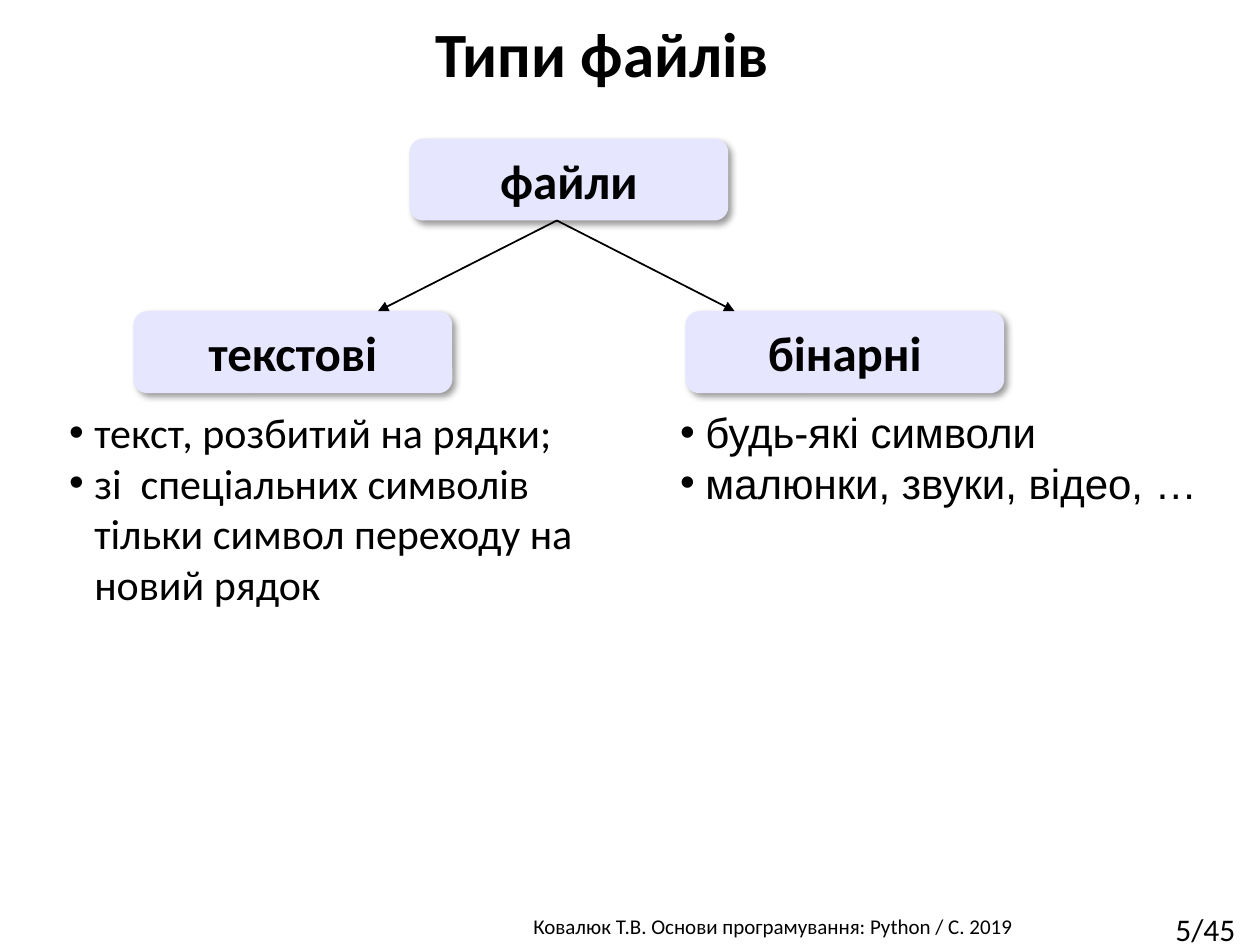
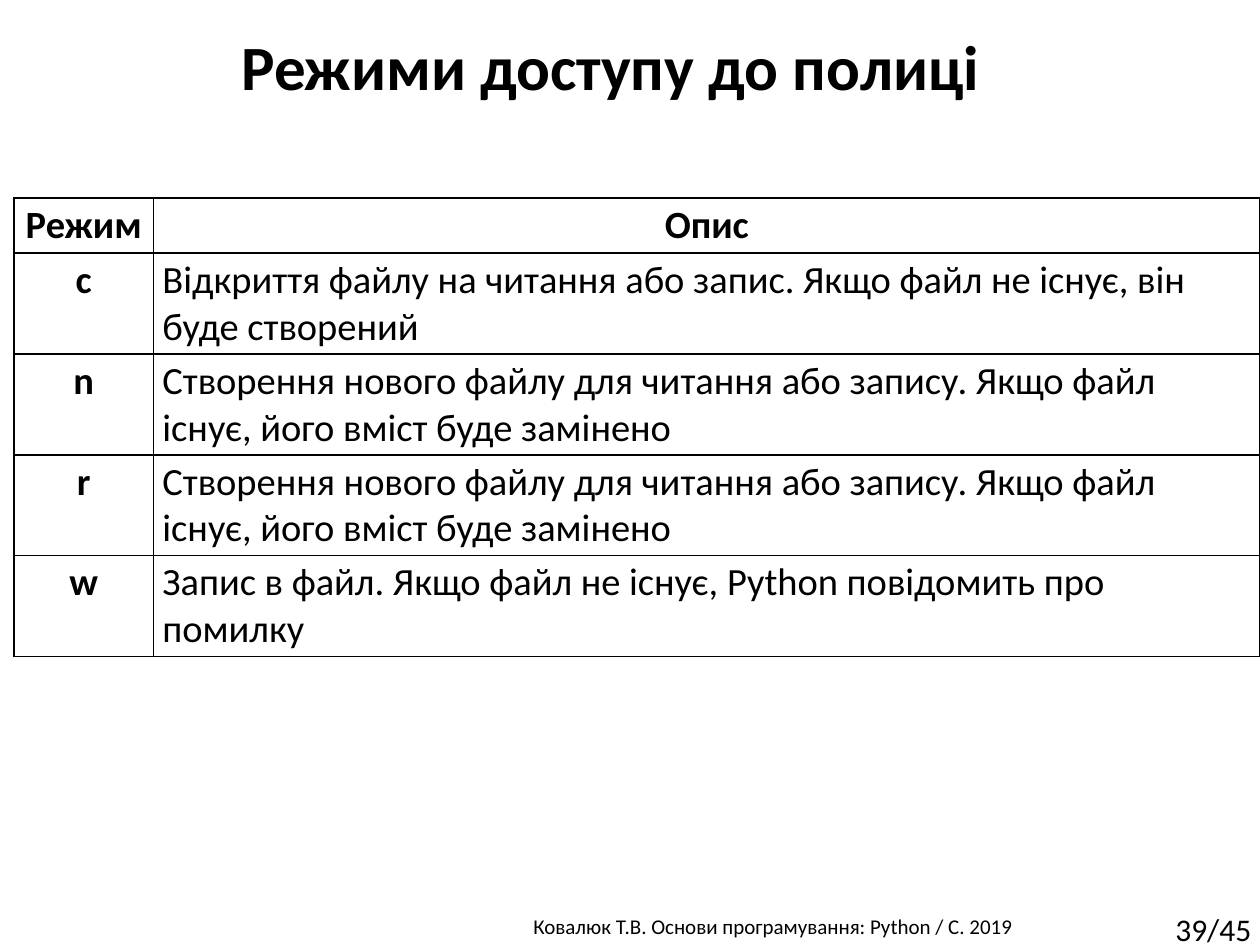
from lxml import etree
from pptx import Presentation
from pptx.dml.color import RGBColor
from pptx.enum.shapes import MSO_CONNECTOR, MSO_SHAPE
from pptx.enum.text import MSO_ANCHOR as ANCHOR, PP_ALIGN as ALIGN
from pptx.oxml import parse_xml
from pptx.oxml.ns import nsdecls, qn
from pptx.util import Inches, Pt

COLORS = {"text": "000000", "line": "000000", "box": "E6E6FF", "paper": "FFFFFF"}
FOOTER = "Ковалюк Т.В. Основи програмування: Python / C. 2019"
PAGE_COUNT = 45
BULLET_INDENT = Inches(0.2)


def write(frame, lines, size, bold=False, align=ALIGN.LEFT, anchor=ANCHOR.TOP, font="Calibri"):
    """Fill a text frame with one single-run paragraph per line."""
    frame.word_wrap = True
    frame.vertical_anchor = anchor
    for index, line in enumerate(lines):
        paragraph = frame.add_paragraph() if index else frame.paragraphs[0]
        paragraph.alignment = align
        run = paragraph.add_run()
        run.text = line
        run.font.name = font
        run.font.size = Pt(size)
        run.font.bold = bold
        run.font.color.rgb = RGBColor.from_string(COLORS["text"])


def add_framed_slide(title, title_place, page):
    """Add a blank slide with the shared footer, page number and title."""
    slide = presentation.slides.add_slide(presentation.slide_layouts[6])
    for text, place, size, style in (
        (FOOTER, (3.29, 7.2, 5.69, 0.3), 12, {"align": ALIGN.CENTER}),
        (f"{page}/{PAGE_COUNT}", (9.23, 7.17, 0.85, 0.4), 18, {}),
        (title, title_place, 36,
         {"bold": True, "align": ALIGN.CENTER, "anchor": ANCHOR.MIDDLE}),
    ):
        box = slide.shapes.add_textbox(*map(Inches, place))
        write(box.text_frame, [text], size, **style)
    return slide


presentation = Presentation()
presentation.slide_width = Inches(10)
presentation.slide_height = Inches(7.5)

# Slide 1: file types
slide = add_framed_slide("Типи файлів", (0.2, 0.19, 9.16, 0.52), 5)
slide.shapes[-1].text_frame.paragraphs[0].line_spacing = 0.9

for label, left, top in (("файли", 3.25, 1.1), ("текстові", 1.06, 2.47), ("бінарні", 5.44, 2.47)):
    shape = slide.shapes.add_shape(
        MSO_SHAPE.ROUNDED_RECTANGLE, Inches(left), Inches(top), Inches(2.53), Inches(0.65))
    shape.fill.solid()
    shape.fill.fore_color.rgb = RGBColor.from_string(COLORS["box"])
    shape.line.fill.background()
    shape._element.spPr.append(parse_xml(
        f'<a:effectLst {nsdecls("a")}>'
        f'<a:outerShdw blurRad="{Pt(4)}" dist="{Pt(3)}" dir="2700000" algn="tl" rotWithShape="0">'
        f'<a:srgbClr val="{COLORS["line"]}"><a:alpha val="40000"/></a:srgbClr>'
        '</a:outerShdw></a:effectLst>'))
    write(shape.text_frame, [label], 28, bold=True, align=ALIGN.CENTER, anchor=ANCHOR.MIDDLE)

for left, font, features in (
    (0.45, "Calibri", ["текст, розбитий на рядки;",
                       "зі  спеціальних символів тільки символ переходу на новий рядок"]),
    (5.3, "Arial", ["будь-які символи", "малюнки, звуки, відео, …"]),
):
    shape = slide.shapes.add_shape(
        MSO_SHAPE.FLOWCHART_PROCESS, Inches(left), Inches(3.18), Inches(4.59), Inches(2.21))
    shape.shadow.inherit = False
    shape.fill.background()
    shape.line.fill.background()
    write(shape.text_frame, features, 24, font=font)
    for paragraph in shape.text_frame.paragraphs:
        properties = paragraph._p.get_or_add_pPr()
        properties.set("marL", str(BULLET_INDENT))
        properties.set("indent", str(-BULLET_INDENT))
        etree.SubElement(properties, qn("a:buFont"), typeface="Arial")
        etree.SubElement(properties, qn("a:buChar"), char="•")

for end_x in (3, 5.83):
    arrow = slide.shapes.add_connector(
        MSO_CONNECTOR.STRAIGHT, Inches(4.42), Inches(1.75), Inches(end_x), Inches(2.47))
    arrow.line.color.rgb = RGBColor.from_string(COLORS["line"])
    arrow.line.width = Pt(1)
    etree.SubElement(arrow.line._get_or_add_ln(), qn("a:tailEnd"), type="triangle")
    etree.SubElement(arrow._element.spPr, qn("a:effectLst"))

# Slide 2: shelf access modes
slide = add_framed_slide("Режими доступу до полиці", (1.79, 0.16, 6.11, 0.71), 39)

REPLACES_FILE = ("Створення нового файлу для читання або запису. "
                 "Якщо файл існує, його вміст буде замінено")
modes = [
    ("Режим", "Опис"),
    ("c", "Відкриття файлу на читання або запис. Якщо файл не існує, він буде створений"),
    ("n", REPLACES_FILE),
    ("r", REPLACES_FILE),
    ("w", "Запис в файл. Якщо файл не існує, Python повідомить про помилку"),
]
table = slide.shapes.add_table(
    len(modes), 2, Inches(0.11), Inches(1.57), Inches(9.89), Inches(3.64)).table
for column, width in zip(table.columns, (1.11, 8.78)):
    column.width = Inches(width)

for row_index, mode in enumerate(modes):
    table.rows[row_index].height = Inches(0.8 if row_index else 0.44)
    for column_index, text in enumerate(mode):
        cell = table.cell(row_index, column_index)
        cell.margin_left = cell.margin_right = Inches(0.07)
        cell.margin_top = cell.margin_bottom = Inches(0.03)
        is_heading = row_index == 0 or column_index == 0
        write(cell.text_frame, [text], 22, bold=is_heading,
              align=ALIGN.CENTER if is_heading else ALIGN.LEFT)
        properties = cell._tc.get_or_add_tcPr()
        for side in ("lnL", "lnR", "lnT", "lnB"):
            border = etree.SubElement(properties, qn(f"a:{side}"), w=str(Pt(1)))
            line_fill = etree.SubElement(border, qn("a:solidFill"))
            etree.SubElement(line_fill, qn("a:srgbClr"), val=COLORS["line"])
        cell.fill.solid()
        cell.fill.fore_color.rgb = RGBColor.from_string(COLORS["paper"])

presentation.save("out.pptx")
